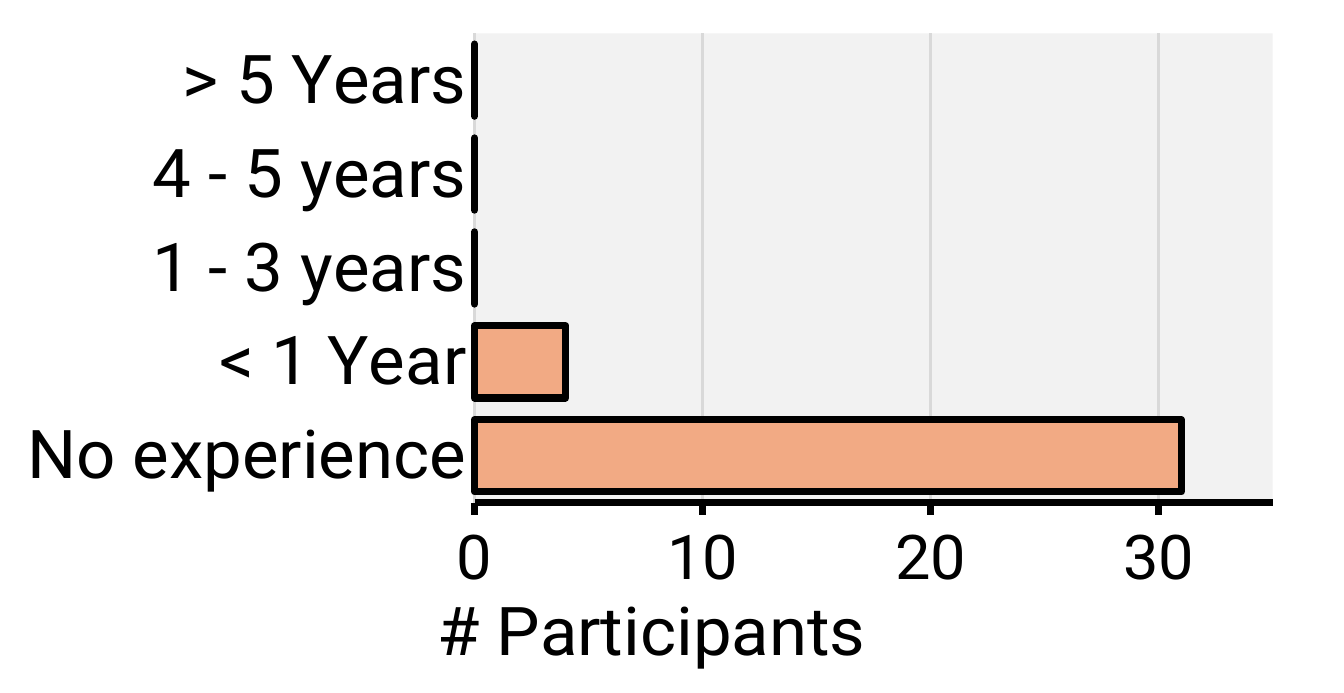
from lxml import etree
from pptx import Presentation
from pptx.chart.data import CategoryChartData
from pptx.dml.color import RGBColor
from pptx.enum.chart import XL_CHART_TYPE, XL_TICK_LABEL_POSITION, XL_TICK_MARK
from pptx.oxml.ns import qn
from pptx.util import Emu, Pt

BAR_CLUSTERED = XL_CHART_TYPE.BAR_CLUSTERED
LABELS_LOW = XL_TICK_LABEL_POSITION.LOW
TICK_NONE = XL_TICK_MARK.NONE
TICK_OUTSIDE = XL_TICK_MARK.OUTSIDE

EMU_PER_PX = 4572  # 200 px to the inch
SLIDE_W, SLIDE_H = 1300, 670

FONT = "Roboto"
BLACK, WHITE = "000000", "FFFFFF"
GRID_GREY, PLOT_GREY, BAR_ORANGE = "D9D9D9", "F2F2F2", "F2AA84"

PARTICIPANTS = {
    "No experience": 31,
    "< 1 Year": 4,
    "1 - 3 years": 0,
    "4 - 5 years": 0,
    "> 5 Years": 0,
}


def px(length):
    return Emu(length * EMU_PER_PX)


def color(hex_value):
    return RGBColor.from_string(hex_value)


def set_values(target, values):
    for name, value in values.items():
        setattr(target, name, value)


def style_font(font, size):
    set_values(font, {"name": FONT, "size": Pt(size), "bold": False})
    font.color.rgb = color(BLACK)


def style_line(line, hex_value, width):
    line.color.rgb = color(hex_value)
    line.width = Pt(width)


def make_fill(hex_value):
    """Return chart area properties with a solid fill and no outline."""
    properties = etree.Element(qn("c:spPr"))
    solid = etree.SubElement(properties, qn("a:solidFill"))
    etree.SubElement(solid, qn("a:srgbClr"), val=hex_value)
    outline = etree.SubElement(properties, qn("a:ln"))
    etree.SubElement(outline, qn("a:noFill"))
    return properties


def place(element, left, top, size=None):
    """Give a chart part a manual layout from lengths in px."""
    layout = element.find(qn("c:layout"))
    if layout is None:
        layout = etree.Element(qn("c:layout"))
        element.insert(0, layout)
    settings = {"layoutTarget": "inner"} if size else {}
    settings |= {"xMode": "edge", "yMode": "edge",
                 "x": left / SLIDE_W, "y": top / SLIDE_H}
    if size:
        width, height = size
        settings |= {"w": width / SLIDE_W, "h": height / SLIDE_H}
    manual = etree.SubElement(layout, qn("c:manualLayout"))
    for name, value in settings.items():
        etree.SubElement(manual, qn(f"c:{name}"), val=str(value))


def add_bar_chart(slide):
    data = CategoryChartData()
    data.categories = list(PARTICIPANTS)
    data.add_series("Series 1", list(PARTICIPANTS.values()))
    frame = slide.shapes.add_chart(
        BAR_CLUSTERED, 0, 0, px(SLIDE_W), px(SLIDE_H), data)
    chart = frame.chart
    set_values(chart, {"has_legend": False, "has_title": False})
    style_font(chart.font, 16)
    return chart


def style_bars(plot):
    set_values(plot, {"gap_width": 30, "vary_by_categories": False})
    bars = plot.series[0]
    bars.format.fill.solid()
    bars.format.fill.fore_color.rgb = color(BAR_ORANGE)
    style_line(bars.format.line, BLACK, 2.5)


def style_axis(axis, font_size, line_color, line_width, values):
    set_values(axis, values)
    style_font(axis.tick_labels.font, font_size)
    style_line(axis.format.line, line_color, line_width)


def add_axis_title(axis, text):
    paragraph = axis.axis_title.text_frame.paragraphs[0]
    run = paragraph.add_run()
    run.text = text
    style_font(run.font, 24)
    place(axis.axis_title._element, 411, 567)


def style_areas(chart):
    chart_part = chart._chartSpace.find(qn("c:chart"))
    chart_part.addnext(make_fill(WHITE))
    plot_area = chart_part.find(qn("c:plotArea"))
    plot_area.append(make_fill(PLOT_GREY))
    place(plot_area, 459, 33, (772, 465))


def main():
    prs = Presentation()
    set_values(prs, {"slide_width": px(SLIDE_W), "slide_height": px(SLIDE_H)})
    slide = prs.slides.add_slide(prs.slide_layouts[6])

    # Bars
    chart = add_bar_chart(slide)
    style_bars(chart.plots[0])

    # Experience axis
    style_axis(chart.category_axis, 24, GRID_GREY, 0.75, {
        "major_tick_mark": TICK_NONE, "minor_tick_mark": TICK_NONE,
        "has_major_gridlines": False})

    # Participants axis
    count_axis = chart.value_axis
    style_axis(count_axis, 22, BLACK, 2.5, {
        "minimum_scale": 0, "maximum_scale": 35, "major_unit": 10,
        "major_tick_mark": TICK_OUTSIDE, "minor_tick_mark": TICK_NONE,
        "tick_label_position": LABELS_LOW, "has_major_gridlines": True})
    style_line(count_axis.major_gridlines.format.line, GRID_GREY, 0.75)
    add_axis_title(count_axis, "# Participants")

    # Backgrounds and plot position
    style_areas(chart)

    prs.save("out.pptx")


if __name__ == "__main__":
    main()
